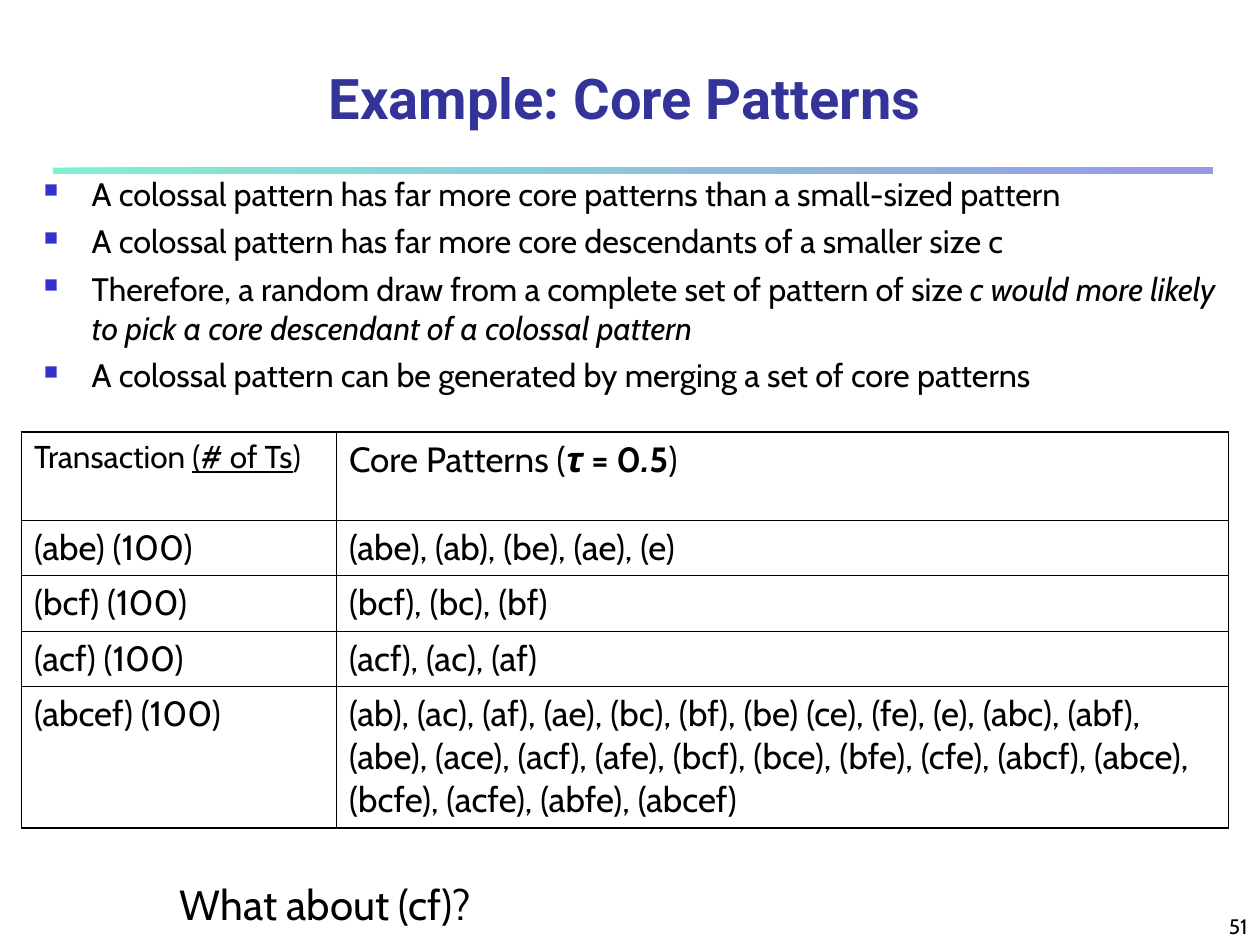
from lxml import etree
from pptx import Presentation
from pptx.dml.color import RGBColor
from pptx.enum.shapes import MSO_SHAPE
from pptx.enum.text import MSO_ANCHOR, MSO_AUTO_SIZE, PP_ALIGN
from pptx.oxml.ns import qn
from pptx.util import Inches, Pt

BLACK = RGBColor(0x00, 0x00, 0x00)
NAVY = RGBColor(0x33, 0x33, 0x99)
BLUE = RGBColor(0x33, 0x33, 0xCC)
MINT = RGBColor(0x00, 0xE4, 0xA8)
RECTANGLE = MSO_SHAPE.RECTANGLE
TOP, BOTTOM = MSO_ANCHOR.TOP, MSO_ANCHOR.BOTTOM
LEFT, CENTER, RIGHT = PP_ALIGN.LEFT, PP_ALIGN.CENTER, PP_ALIGN.RIGHT
FIT_SHAPE = MSO_AUTO_SIZE.SHAPE_TO_FIT_TEXT
BODY_FONT, TITLE_FONT = "Cabin", "Roboto"
THICK, THIN = Pt(1.08), Pt(0.45)

BULLETS = [
    [("A colossal pattern has far more core patterns than a small-sized pattern", "")],
    [("A colossal pattern has far more core descendants of a smaller size c", "")],
    [("Therefore, a random draw from a complete set of pattern of size ", ""),
     ("c would more likely to pick a core descendant of a colossal pattern", "i")],
    [("A colossal pattern can be generated by merging a set of core patterns", "")],
]
TRANSACTION_HEADING = [("Transaction ", ""), ("(# of Ts", "u"), (")", "")]
CORE_HEADING = [("Core Patterns (", ""), ("τ ", "bi"), ("= 0", "b"), (".", "bi"),
                ("5", "b"), (")", "")]
CORE_PATTERNS = [
    ("(abe) (100)", "(abe), (ab), (be), (ae), (e)"),
    ("(bcf) (100)", "(bcf), (bc), (bf)"),
    ("(acf) (100)", "(acf), (ac), (af)"),
    ("(abcef) (100)",
     "(ab), (ac), (af), (ae), (bc), (bf), (be) (ce), (fe), (e), (abc), (abf), "
     "(abe), (ace), (acf), (afe), (bcf), (bce), (bfe), (cfe), (abcf), (abce), "
     "(bcfe), (acfe), (abfe), (abcef)"),
]


def add_bullet(paragraph):
    properties = paragraph._p.get_or_add_pPr()
    properties.set("marL", str(Inches(0.38)))
    properties.set("indent", str(-Inches(0.38)))
    color = etree.SubElement(properties, qn("a:buClr"))
    etree.SubElement(color, qn("a:srgbClr"), val=str(BLUE))
    etree.SubElement(properties, qn("a:buSzPct"), val="60000")
    etree.SubElement(properties, qn("a:buChar"), char="■")


def write(frame, paragraphs, size, font=BODY_FONT, color=BLACK, style="",
          align=LEFT, space=0, bullet=False):
    for index, runs in enumerate(paragraphs):
        paragraph = frame.add_paragraph() if index else frame.paragraphs[0]
        if bullet:
            add_bullet(paragraph)
        paragraph.alignment = align
        if index:
            paragraph.space_before = Pt(space)
        for text, run_style in runs:
            run = paragraph.add_run()
            run.text = text
            marks = style + run_style
            run.font.name = font
            run.font.size = Pt(size)
            run.font.color.rgb = color
            run.font.bold = "b" in marks
            run.font.italic = "i" in marks
            run.font.underline = "u" in marks


def add_text(slide, box, paragraphs, size, anchor=TOP, wrap=True, **text_format):
    frame = slide.shapes.add_textbox(*map(Inches, box)).text_frame
    frame.word_wrap = wrap
    frame.vertical_anchor = anchor
    write(frame, paragraphs, size, **text_format)
    return frame


def add_title_rule(slide, box):
    rule = slide.shapes.add_shape(RECTANGLE, *map(Inches, box))
    rule.shadow.inherit = False
    rule.line.fill.background()
    rule.fill.gradient()
    rule.fill.gradient_angle = 0
    for stop, color in zip(rule.fill.gradient_stops, (MINT, BLUE)):
        stop.color.rgb = color
    for color in rule._element.spPr.iter(qn("a:srgbClr")):
        etree.SubElement(color, qn("a:alpha"), val="50000")


def add_borders(cell, widths):
    properties = cell._tc.get_or_add_tcPr()
    for index, (side, width) in enumerate(zip("LRTB", widths)):
        line = etree.Element(qn(f"a:ln{side}"), w=str(width))
        fill = etree.SubElement(line, qn("a:solidFill"))
        etree.SubElement(fill, qn("a:srgbClr"), val=str(BLACK))
        properties.insert(index, line)


def add_pattern_table(slide, box):
    rows = [(TRANSACTION_HEADING, CORE_HEADING)]
    rows += [([(name, "")], [(cores, "")]) for name, cores in CORE_PATTERNS]
    last_row, last_column = len(rows) - 1, 1
    table = slide.shapes.add_table(len(rows), 2, *map(Inches, box)).table
    table.first_row = table.horz_banding = False
    for column, width in zip(table.columns, (2.5, box[2] - 2.5)):
        column.width = Inches(width)
    for row, height in zip(table.rows, (0.7, 0.44, 0.44, 0.44, 1.12)):
        row.height = Inches(height)
    for r, row in enumerate(rows):
        for c, runs in enumerate(row):
            cell = table.cell(r, c)
            cell.fill.background()
            edges = (c == 0, c == last_column, r == 0, r == last_row)
            add_borders(cell, [THICK if outer else THIN for outer in edges])
            write(cell.text_frame, [runs], 18 if (r, c) == (0, 0) else 20)


def add_question(slide, box):
    frame = add_text(slide, box, [[("What about (cf)?", "")]], 24, wrap=False)
    frame.auto_size = FIT_SHAPE


def build():
    presentation = Presentation()
    presentation.slide_width = Inches(10)
    presentation.slide_height = Inches(7.5)
    slide = presentation.slides.add_slide(presentation.slide_layouts[6])
    add_title_rule(slide, (0.42, 1.33, 9.2, 0.05))
    add_text(slide, (7.92, 7.08, 2.08, 0.42), [[("51", "")]], 12,
             anchor=BOTTOM, align=RIGHT)
    add_text(slide, (0.42, 0.42, 9.08, 0.67), [[("Example: Core Patterns", "")]], 32,
             anchor=BOTTOM, font=TITLE_FONT, color=NAVY, style="b", align=CENTER)
    add_text(slide, (0.25, 1.33, 9.5, 2), BULLETS, 18.5, space=5, bullet=True)
    add_pattern_table(slide, (0.17, 3.43, 9.58, 3.14))
    add_question(slide, (1.33, 6.92, 2.73, 0.5))
    presentation.save("out.pptx")


if __name__ == "__main__":
    build()
